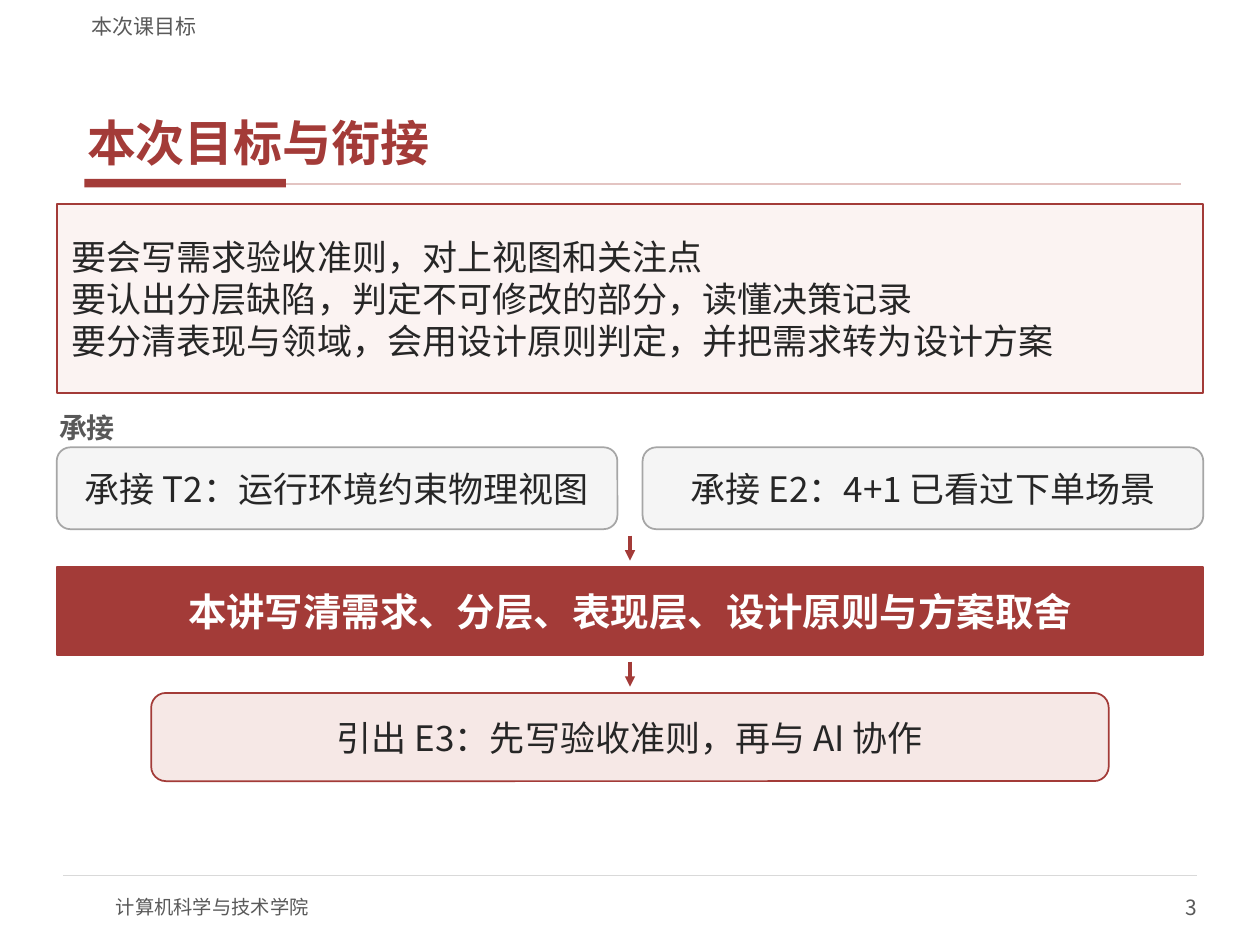
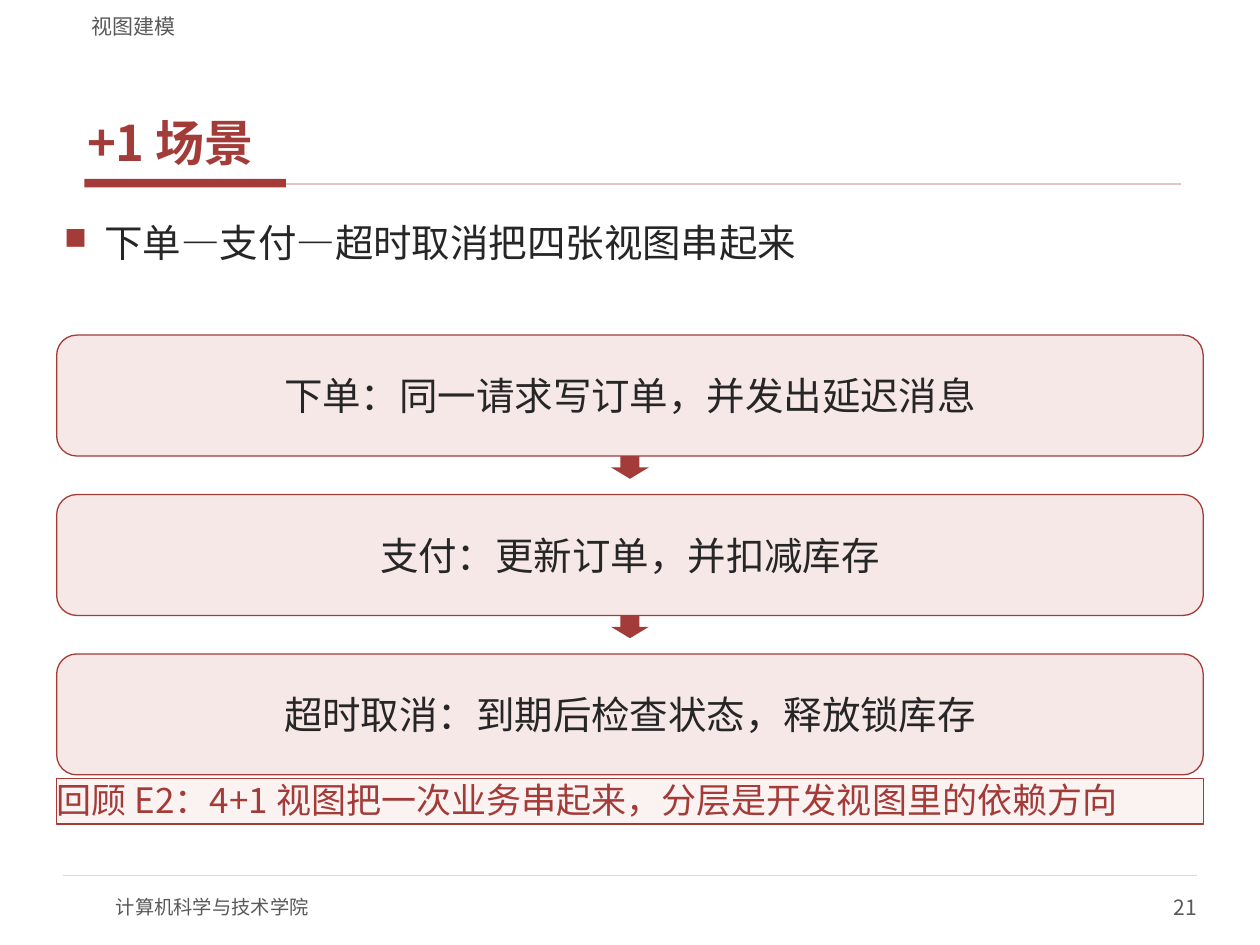
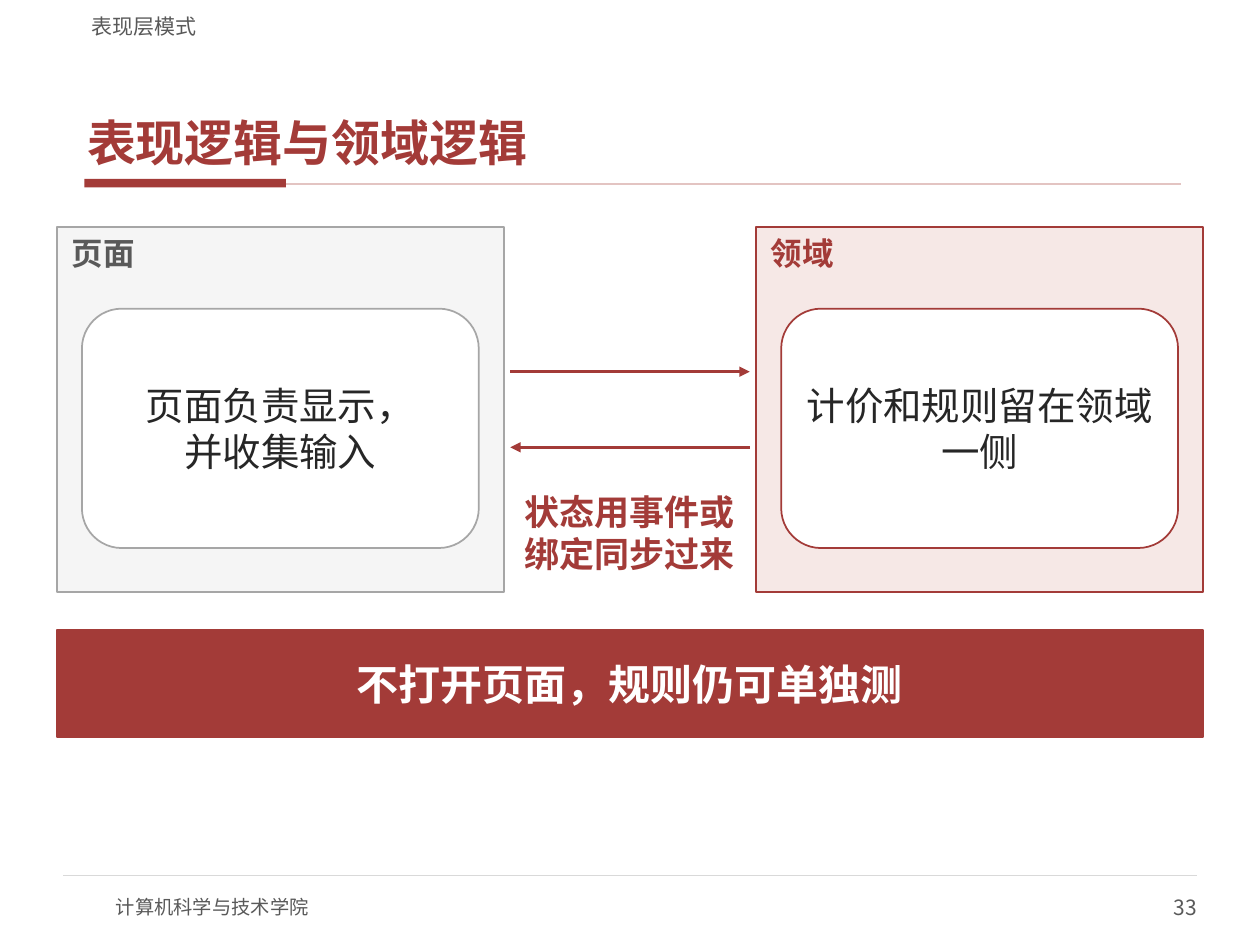
import pptx
import pptx.dml.color
import pptx.enum.lang
import pptx.enum.shapes
import pptx.enum.text
import pptx.oxml
import pptx.oxml.ns
import pptx.util

Pt = pptx.util.Pt
RGBColor = pptx.dml.color.RGBColor
SHAPE = pptx.enum.shapes.MSO_SHAPE
ALIGN = pptx.enum.text.PP_ALIGN
ANCHOR = pptx.enum.text.MSO_ANCHOR

# Colours
RED = RGBColor(0xA3, 0x3B, 0x38)
ROSE = RGBColor(0xF6, 0xE8, 0xE6)
PALE_ROSE = RGBColor(0xFB, 0xF3, 0xF2)
TITLE_RULE = RGBColor(0xE3, 0xC4, 0xC2)
FOOTER_RULE = RGBColor(0xD9, 0xD9, 0xD9)
PALE_GREY = RGBColor(0xF5, 0xF5, 0xF5)
MID_GREY = RGBColor(0xA6, 0xA6, 0xA6)
DARK_GREY = RGBColor(0x59, 0x59, 0x59)
INK = RGBColor(0x26, 0x26, 0x26)
WHITE = RGBColor(0xFF, 0xFF, 0xFF)

# Shared measures, in points
FONT = "Noto Sans CJK SC"
SLIDE_WIDTH, SLIDE_HEIGHT = 720, 540
LEFT, WIDTH = 32.4, 655.2
RIGHT = LEFT + WIDTH
CENTER = SLIDE_WIDTH / 2
TEXT_INSETS = (4.3, 1.4)
LABEL_INSETS = (1.4, 0.7)
BOX_INSETS = (5.8, 2.9)


class SlideBuilder:
    """Holds the deck, its style and the slide being built."""

    def __init__(self):
        self.deck = pptx.Presentation()
        self.deck.slide_width = Pt(SLIDE_WIDTH)
        self.deck.slide_height = Pt(SLIDE_HEIGHT)
        self.page = None

    def start_page(self, section, title, number):
        self.page = self.deck.slides.add_slide(self.deck.slide_layouts[6])
        # Title band and footer
        self.box((48.2, 102.2, 115.2, 5), fill=RED)
        self.line((163.4, 105.1), (674.6, 105.1), TITLE_RULE, 1)
        self.line((36, 500.4), (684, 500.4), FOOTER_RULE, 0.75)
        self.text((66.2, 504, 288, 28.8), "计算机科学与技术学院", 11, DARK_GREY, insets=(0, 0))
        self.text((540, 504, 144, 28.8), str(number), 12, DARK_GREY,
                  insets=(0, 0), align=ALIGN.RIGHT)
        # Section name and title
        self.text((45.4, 2.9, 630, 19.4), section, 12, DARK_GREY,
                  insets=(7.2, 0), anchor=ANCHOR.BOTTOM)
        self.text((45.4, 23.8, 630, 75.6), title, 28, RED, bold=True,
                  insets=TEXT_INSETS, anchor=ANCHOR.BOTTOM, space_after=2)

    def set_text(self, shape, text, size, color, bold=False, align=ALIGN.LEFT,
                 anchor=ANCHOR.MIDDLE, insets=BOX_INSETS, space_after=0):
        """Set a string, or one paragraph for each string of a list."""
        frame = shape.text_frame
        frame.word_wrap = True
        frame.vertical_anchor = anchor
        frame.margin_left = frame.margin_right = Pt(insets[0])
        frame.margin_top = frame.margin_bottom = Pt(insets[1])
        for index, words in enumerate([text] if isinstance(text, str) else text):
            para = frame.add_paragraph() if index else frame.paragraphs[0]
            para.text = words
            para.alignment = align
            para.space_after = Pt(space_after)
            for span in para.runs:
                font = span.font
                font.name, font.size, font.bold = FONT, Pt(size), bold
                font.color.rgb = color
                font.language_id = pptx.enum.lang.MSO_LANGUAGE_ID.SIMPLIFIED_CHINESE
                east_asian = pptx.oxml.ns.qn("a:ea")
                font._element.find(pptx.oxml.ns.qn("a:latin")).addnext(
                    font._element.makeelement(east_asian, {"typeface": FONT}))

    def text(self, place, text, size, color, **style):
        area = self.page.shapes.add_textbox(*map(Pt, place))
        self.set_text(area, text, size, color, **style)
        return area

    def label(self, place, text, size, color, **style):
        self.text(place, text, size, color, bold=True, insets=LABEL_INSETS, **style)

    def bullet(self, place, text, size):
        area = self.text(place, text, size, INK, insets=TEXT_INSETS,
                         anchor=ANCHOR.TOP, space_after=2)
        properties = area.text_frame.paragraphs[0]._p.get_or_add_pPr()
        properties.set("marL", str(Pt(23)))
        properties.set("indent", str(-Pt(23)))
        namespace = pptx.oxml.ns.nsdecls("a")
        for element in (f'<a:buClr {namespace}><a:srgbClr val="{RED}"/></a:buClr>',
                        f'<a:buSzPct {namespace} val="80000"/>',
                        f'<a:buChar {namespace} char="■"/>'):
            properties.append(pptx.oxml.parse_xml(element))

    def box(self, place, text=None, size=20, color=INK, fill=ROSE, border=None,
            border_width=1, kind=SHAPE.RECTANGLE, align=ALIGN.CENTER, **style):
        shape = self.page.shapes.add_shape(kind, *map(Pt, place))
        shape.shadow.inherit = False
        shape.fill.solid()
        shape.fill.fore_color.rgb = fill
        if border is None:
            shape.line.fill.background()
        else:
            shape.line.color.rgb = border
            shape.line.width = Pt(border_width)
        if text:
            self.set_text(shape, text, size, color, align=align, **style)

    def rounded(self, place, text, size, **style):
        self.box(place, text, size, kind=SHAPE.ROUNDED_RECTANGLE, **style)

    def banner(self, top, height, text, size):
        self.box((LEFT, top, WIDTH, height), text, size, WHITE, RED, RED, bold=True)

    def line(self, start, end, color, width):
        link = self.page.shapes.add_connector(
            pptx.enum.shapes.MSO_CONNECTOR.STRAIGHT, *map(Pt, start + end))
        link.line.color.rgb = color
        link.line.width = Pt(width)
        link._element.spPr.append(pptx.oxml.parse_xml(
            f'<a:effectLst {pptx.oxml.ns.nsdecls("a")}/>'))
        return link

    def arrow(self, start, end):
        link = self.line(start, end, RED, 1.75)
        link.line._get_or_add_ln().append(pptx.oxml.parse_xml(
            f'<a:tailEnd {pptx.oxml.ns.nsdecls("a")} type="triangle"/>'))


def build_goals(builder):
    builder.start_page("本次课目标", "本次目标与衔接", 3)
    builder.box((LEFT, 116.6, WIDTH, 108), [
        "要会写需求验收准则，对上视图和关注点",
        "要认出分层缺陷，判定不可修改的部分，读懂决策记录",
        "要分清表现与领域，会用设计原则判定，并把需求转为设计方案",
    ], fill=PALE_ROSE, border=RED, align=ALIGN.LEFT, insets=(8.6, 4.3))

    # Earlier lessons
    builder.label((LEFT, 232.6, 216, 23), "承接", 16, DARK_GREY)
    source_width = 320.4
    for left, words in ((LEFT, "承接 T2：运行环境约束物理视图"),
                        (RIGHT - source_width, "承接 E2：4+1 已看过下单场景")):
        builder.rounded((left, 255.6, source_width, 46.8), words, 20,
                        fill=PALE_GREY, border=MID_GREY)

    # This lesson and the next one
    for top in (306, 378):
        builder.arrow((CENTER, top), (CENTER, top + 14.4))
    builder.banner(324, 50.4, "本讲写清需求、分层、表现层、设计原则与方案取舍", 22)
    builder.rounded((86.4, 396, 547.2, 50.4), "引出 E3：先写验收准则，再与 AI 协作", 20,
                    border=RED)


def build_scenario(builder):
    builder.start_page("视图建模", "+1 场景", 21)
    builder.bullet((LEFT, 123.8, WIDTH, 61.9), "下单—支付—超时取消把四张视图串起来", 22)

    # Steps, with a block arrow between each two
    steps = ("下单：同一请求写订单，并发出延迟消息",
             "支付：更新订单，并扣减库存",
             "超时取消：到期后检查状态，释放锁库存")
    first_top, pitch, height = 191.5, 91.1, 69.1
    for index, words in enumerate(steps):
        top = first_top + index * pitch
        if index:
            builder.box((CENTER - 10.8, top - pitch + height, 21.6, 13), fill=RED,
                        kind=SHAPE.DOWN_ARROW)
        builder.rounded((LEFT, top, WIDTH, height), words, 22, border=RED,
                        border_width=0.75, insets=TEXT_INSETS, space_after=2)

    builder.box((LEFT, 445, WIDTH, 25.9),
                "回顾 E2：4+1 视图把一次业务串起来，分层是开发视图里的依赖方向",
                20, RED, PALE_ROSE, RED, 0.75, align=ALIGN.LEFT,
                anchor=ANCHOR.TOP, insets=(0, 0))


def build_logic(builder):
    builder.start_page("表现层模式", "表现逻辑与领域逻辑", 33)

    # Two sides
    panel_width = 255.6
    panels = (
        (LEFT, "页面", "页面负责显示，\n并收集输入", PALE_GREY, MID_GREY, DARK_GREY),
        (RIGHT - panel_width, "领域", "计价和规则留在领域一侧", ROSE, RED, RED),
    )
    for left, name, duty, fill, border, color in panels:
        builder.box((left, 129.6, panel_width, 208.8), fill=fill, border=border)
        builder.label((left + 7.2, 133.2, 144, 23), name, 18, color)
        builder.rounded((left + 14.4, 176.4, panel_width - 28.8, 136.8), duty, 22,
                        fill=WHITE, border=border)

    # Exchange between them
    gap_left, gap_right = 291.6, 428.4
    builder.arrow((gap_left, 212.4), (gap_right, 212.4))
    builder.arrow((gap_right, 255.6), (gap_left, 255.6))
    builder.label((gap_left, 270, gap_right - gap_left, 68.4),
                  "状态用事件或\n绑定同步过来", 20, RED, align=ALIGN.CENTER)

    builder.banner(360, 61.2, "不打开页面，规则仍可单独测", 24)


def main():
    builder = SlideBuilder()
    build_goals(builder)
    build_scenario(builder)
    build_logic(builder)
    builder.deck.save("out.pptx")


if __name__ == "__main__":
    main()
